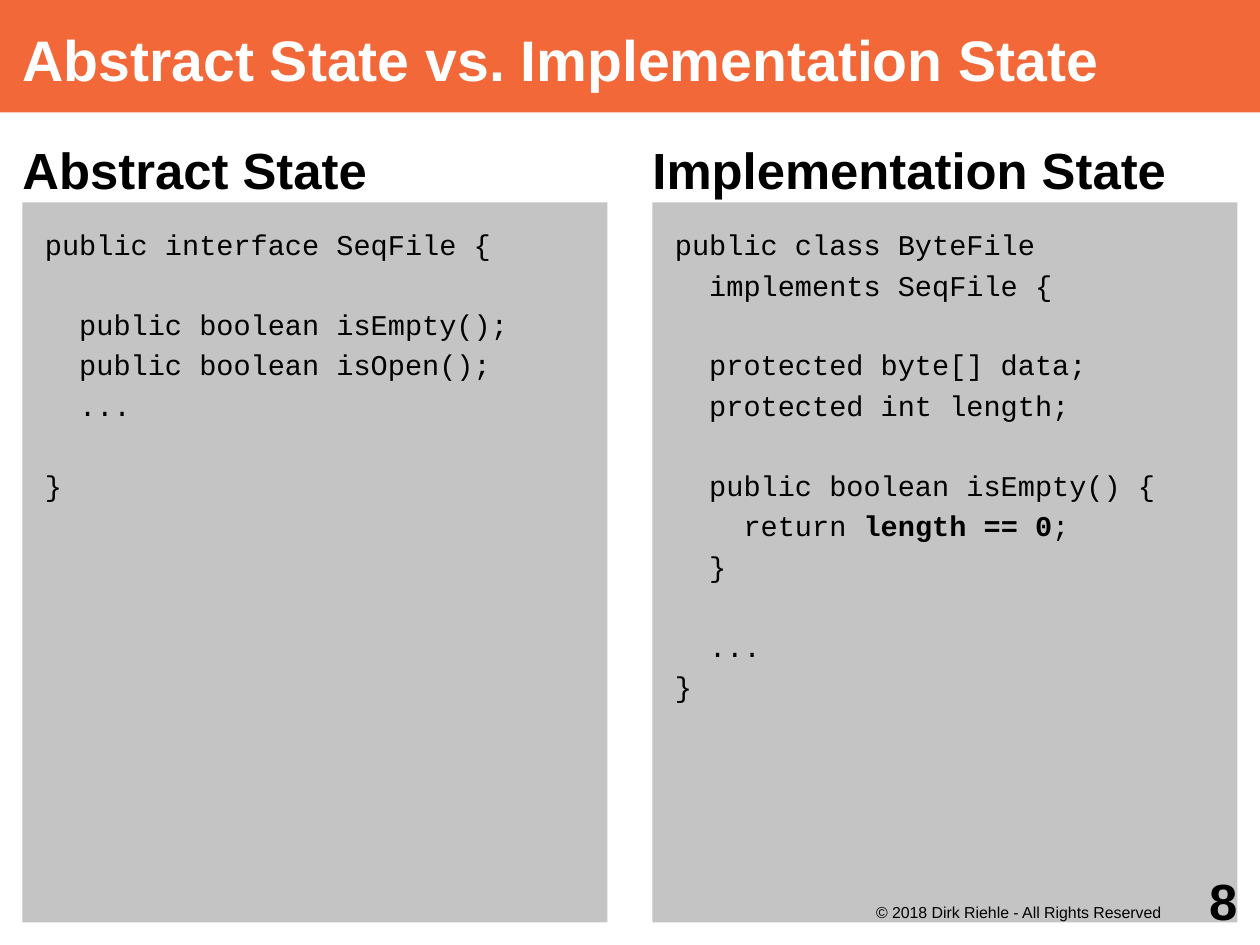
from pptx import Presentation
from pptx.dml.color import RGBColor
from pptx.enum.shapes import MSO_SHAPE
from pptx.enum.text import MSO_ANCHOR, PP_ALIGN
from pptx.util import Cm, Pt

COLS, ROWS = 56, 42
UNIT = Cm(0.5)
LEAD = 1.06
GAP, PITCH = 2.8, 24.4

ABSTRACT = """public interface SeqFile {

  public boolean isEmpty();
  public boolean isOpen();
  ...

}"""

CONCRETE = """public class ByteFile
  implements SeqFile {

  protected byte[] data;
  protected int length;

  public boolean isEmpty() {
    return **length == 0**;
  }

  ...
}"""


def tint(code):
    return RGBColor.from_string(code)


def panel(slide, box, fill):
    shape = slide.shapes.add_shape(MSO_SHAPE.RECTANGLE, *(n * UNIT for n in box))
    shape.shadow.inherit = False
    shape.fill.solid()
    shape.fill.fore_color.rgb = tint(fill)
    shape.line.fill.background()
    return shape


def label(slide, box):
    return slide.shapes.add_textbox(*(n * UNIT for n in box))


def write(shape, text, size=18, font="Arial", color="000000", bold=False,
          align=PP_ALIGN.LEFT, anchor=MSO_ANCHOR.TOP, inset=(0, 0, 0, 0),
          lead=1.0, after=0):
    """Fill a shape with lines; ** marks bold, an empty line becomes spacing."""
    frame = shape.text_frame
    frame.word_wrap = True
    frame.vertical_anchor = anchor
    (frame.margin_left, frame.margin_top,
     frame.margin_right, frame.margin_bottom) = (round(n * UNIT) for n in inset)
    para = None
    for line in text.split("\n"):
        if not line:
            para.space_after = Pt(after + PITCH)
            continue
        para = frame.add_paragraph() if para else frame.paragraphs[0]
        para.alignment = align
        para.line_spacing = lead
        para.space_before = Pt(0)
        para.space_after = Pt(after)
        for i, part in enumerate(line.split("**")):
            run = para.add_run()
            run.text = part
            run.font.name = font
            run.font.size = Pt(size)
            run.font.bold = bold or i % 2 == 1
            run.font.color.rgb = tint(color)


def banner(slide, box, title):
    write(panel(slide, box, "F36838"), title, size=36, color="FFFFFF", bold=True,
          anchor=MSO_ANCHOR.MIDDLE, inset=(1, 0, 0, 0), lead=LEAD)


def column(slide, box, title, code):
    """Place a heading three rows high above a code panel."""
    left, top, width, height = box
    write(label(slide, (left, top, width, 3)), title, size=32, bold=True, lead=LEAD)
    write(panel(slide, (left, top + 3, width, height - 3), "C4C4C4"), code,
          font="Courier New", inset=(1, 1, 0, 0), lead=LEAD, after=GAP)


def footer(slide, box, notice, number):
    left, top, width, height = box
    write(label(slide, (left, top + 2, 16, 2)), notice, size=10,
          align=PP_ALIGN.RIGHT, inset=(0, 0.1, 0.4, 0))
    write(label(slide, (left + width - 5, top, 5, height)), number, size=32,
          bold=True, align=PP_ALIGN.RIGHT, anchor=MSO_ANCHOR.MIDDLE,
          inset=(0, 0, 1, 0))


def main():
    deck = Presentation()
    deck.slide_width, deck.slide_height = COLS * UNIT, ROWS * UNIT
    slide = deck.slides.add_slide(deck.slide_layouts[6])
    banner(slide, (0, 0, COLS, 5), "Abstract State vs. Implementation State")
    half = COLS // 2
    pairs = [("Abstract State", ABSTRACT), ("Implementation State", CONCRETE)]
    for i, (title, code) in enumerate(pairs):
        column(slide, (1 + i * half, 6, half - 2, ROWS - 7), title, code)
    footer(slide, (36, ROWS - 4, COLS - 36, 4),
           "© 2018 Dirk Riehle - All Rights Reserved", "8")
    deck.save("out.pptx")


if __name__ == "__main__":
    main()
